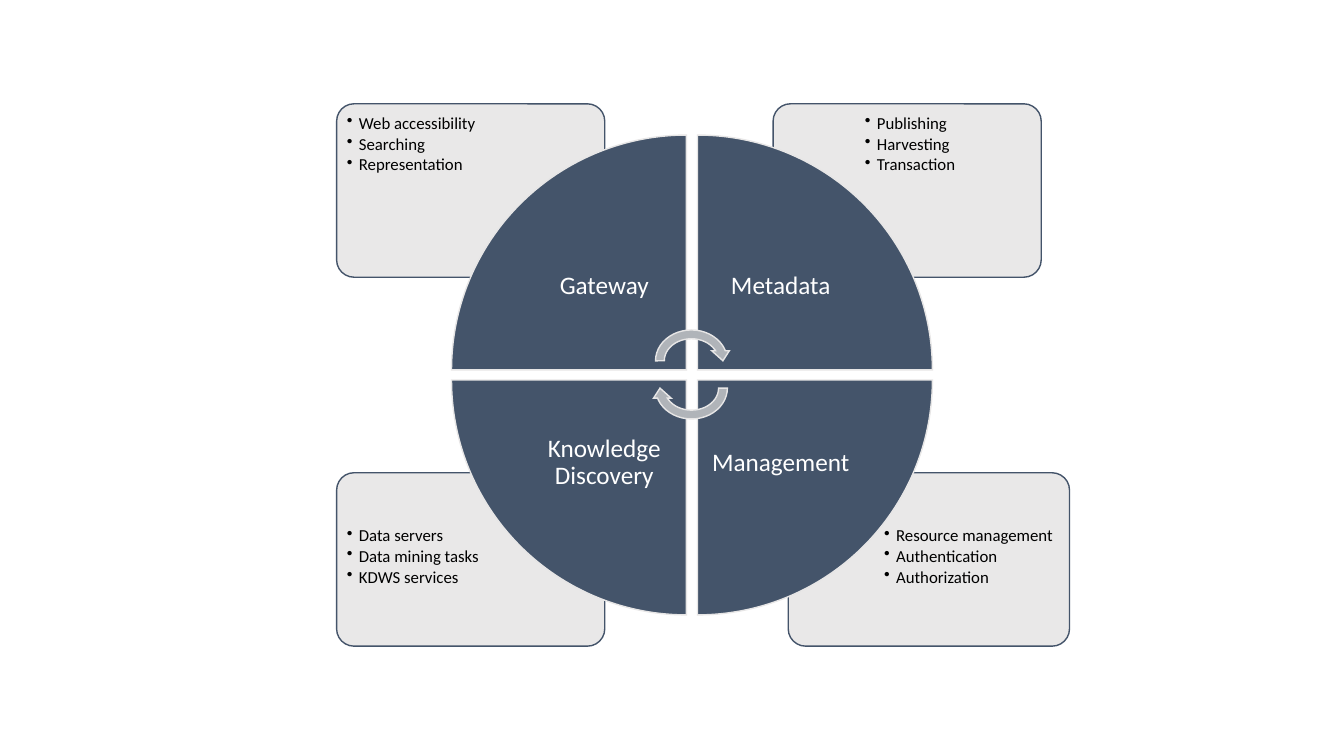
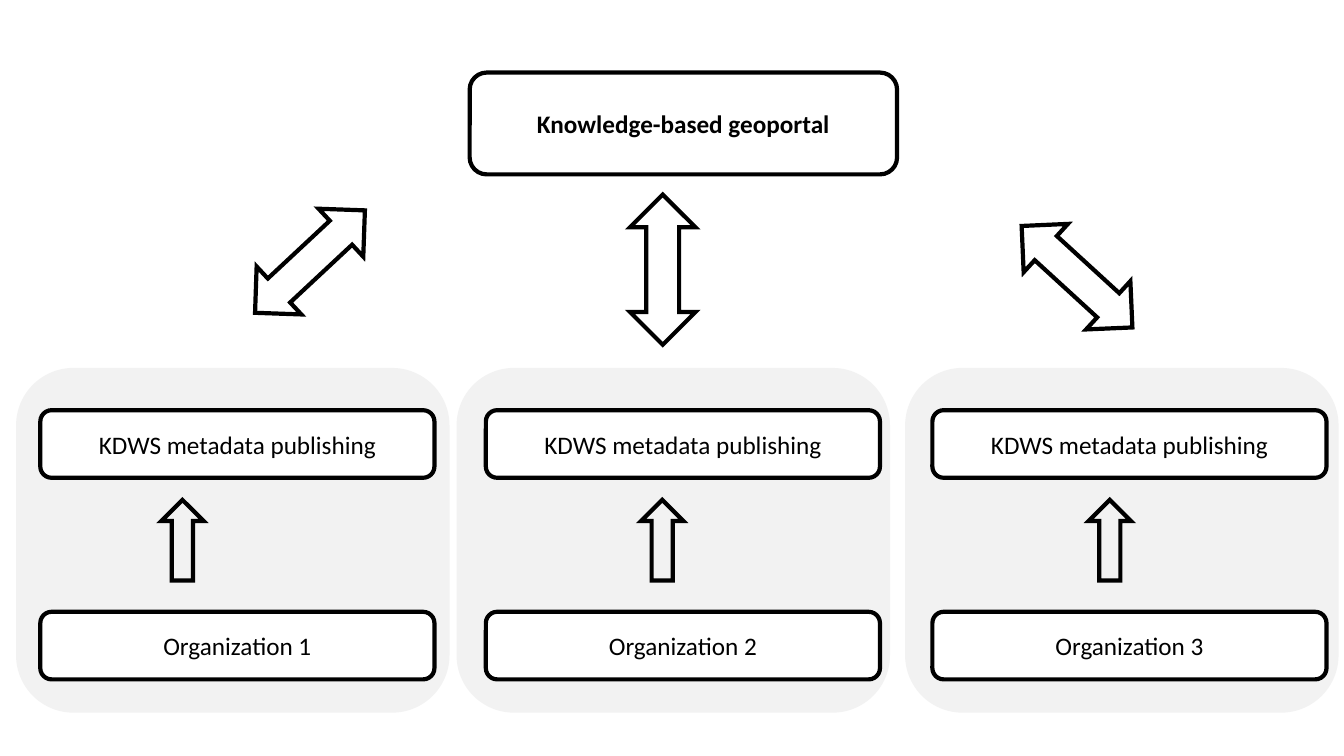
from lxml import etree
from pptx import Presentation
from pptx import util as u
from pptx.dml.color import RGBColor
from pptx.enum import shapes, text
from pptx.oxml import ns

PX = 9144
NAVY = RGBColor(0x44, 0x54, 0x6A)
PALE = RGBColor(0xE7, 0xE6, 0xE6)
STEEL = RGBColor(0xB0, 0xB4, 0xB9)
PANEL = RGBColor(0xF2, 0xF2, 0xF2)
WHITE = RGBColor(0xFF, 0xFF, 0xFF)
BLACK = RGBColor(0, 0, 0)
FONT = "Calibri"
KIND = shapes.MSO_SHAPE

PARTS = [
    dict(name="Management", col=1, row=1, turn=180, left=782, width=279,
         items=["Resource management", "Authentication", "Authorization"]),
    dict(name="Knowledge Discovery", col=0, row=1, turn=270, left=334, width=266,
         items=["Data servers", "Data mining tasks", "KDWS services"]),
    dict(name="Metadata", col=1, row=0, turn=90, left=767, width=266,
         items=["Publishing", "Harvesting", "Transaction"]),
    dict(name="Gateway", col=0, row=0, turn=0, left=334, width=266,
         items=["Web accessibility", "Searching", "Representation"]),
]
CYCLE = [(323, 0), (350, 180)]

PORTAL = "Knowledge-based geoportal"
PUBLISH = "KDWS metadata publishing"
GROUPS = [
    ("Organization 1", 16, 40, 160),
    ("Organization 2", 453, 482, 636),
    ("Organization 3", 898, 925, 1080),
]
LINKS = [(625, 193, 0), (1036, 200, 312.5), (275, 185, 227)]


def box(at):
    return [u.Emu(round(n * PX)) for n in at]


def sub(node, tag, **attrs):
    return etree.SubElement(node, ns.qn(tag), attrs)


def draw(slide, kind, at, fill=None, line=None, width=1, turn=0, alpha=None, round_by=None):
    shape = slide.shapes.add_shape(kind, *box(at))
    shape.shadow.inherit = False
    shape.rotation = turn
    if round_by is not None:
        shape.adjustments[0] = round_by
    if fill is None:
        shape.fill.background()
    else:
        shape.fill.solid()
        shape.fill.fore_color.rgb = fill
    if alpha is not None:
        color = shape.fill._xPr.find(".//" + ns.qn("a:srgbClr"))
        sub(color, "a:alpha", val=str(alpha * 1000))
    if line is None:
        shape.line.fill.background()
    else:
        shape.line.color.rgb = line
        shape.line.width = u.Pt(width)
        sub(shape.line._get_or_add_ln(), "a:miter", lim="800000")
    return shape


def write(shape, lines, size=18, color=BLACK, bold=False, center=True, middle=True,
          inset=None, pitch=None, after=None, bullet=False):
    frame = shape.text_frame
    frame.word_wrap = True
    frame.vertical_anchor = text.MSO_ANCHOR.MIDDLE if middle else text.MSO_ANCHOR.TOP
    if inset is not None:
        frame.margin_left = frame.margin_right = u.Emu(inset * PX)
        frame.margin_top = frame.margin_bottom = u.Emu(inset * PX)
    for i, words in enumerate(lines):
        para = frame.paragraphs[0] if i == 0 else frame.add_paragraph()
        para.alignment = text.PP_ALIGN.CENTER if center else text.PP_ALIGN.LEFT
        if pitch:
            para.line_spacing = pitch
        if after:
            para.space_after = u.Pt(after)
        if bullet:
            para.level = 1
            props = para._p.get_or_add_pPr()
            props.set("marL", str(12 * PX))
            props.set("indent", str(-12 * PX))
            sub(props, "a:buChar", char="•")
        run = para.add_run()
        run.text = words
        run.font.name = FONT
        run.font.size = u.Pt(size)
        run.font.bold = bold
        run.font.color.rgb = color


def wheel(slide):
    for part in PARTS:
        left, width = part["left"], part["width"]
        top = 103 + 366 * part["row"]
        draw(slide, KIND.ROUNDED_RECTANGLE, (left, top, width, 172),
             fill=PALE, line=NAVY, alpha=90, round_by=0.1)
        span = round(0.7 * width - 7)
        start = left + width - 3 - span if part["col"] else left + 3
        area = (start, top + (47 if part["row"] else 4), span, 122)
        write(slide.shapes.add_textbox(*box(area)), part["items"], size=12,
              center=False, middle=False, inset=7, pitch=0.9, after=1.8, bullet=True)
    for part in PARTS:
        col, row = part["col"], part["row"]
        draw(slide, KIND.PIE_WEDGE, (448 + 244 * col, 134 + 243 * row, 233, 233),
             fill=NAVY, line=PALE, turn=part["turn"])
        area = (517 + 175 * col, 202 + 175 * row, 165, 165)
        write(slide.shapes.add_textbox(*box(area)), [part["name"]],
              color=WHITE, inset=14, pitch=0.9)
    for top, turn in CYCLE:
        draw(slide, KIND.CIRCULAR_ARROW, (646, top, 80, 70),
             fill=STEEL, line=PALE, turn=turn)


def label(slide, at, words, bold=False):
    shape = draw(slide, KIND.ROUNDED_RECTANGLE, at, fill=WHITE, line=BLACK, width=3)
    write(shape, [words], bold=bold)


def portal(slide):
    for name, panel, left, arrow in GROUPS:
        draw(slide, KIND.ROUNDED_RECTANGLE, (panel, 365, 430, 342), fill=PANEL)
        for top, words in ((607, name), (407, PUBLISH)):
            label(slide, (left, top, 391, 67), words)
        draw(slide, KIND.UP_ARROW, (arrow, 496, 42, 80), line=BLACK, width=3)
    label(slide, (466, 72, 424, 101), PORTAL, bold=True)
    for left, top, turn in LINKS:
        draw(slide, KIND.UP_DOWN_ARROW, (left, top, 65, 149),
             line=BLACK, width=3, turn=turn)


def main():
    deck = Presentation()
    deck.slide_width, deck.slide_height = box((1333.33, 750))
    for build in (wheel, portal):
        build(deck.slides.add_slide(deck.slide_layouts[6]))
    deck.save("out.pptx")


if __name__ == "__main__":
    main()
